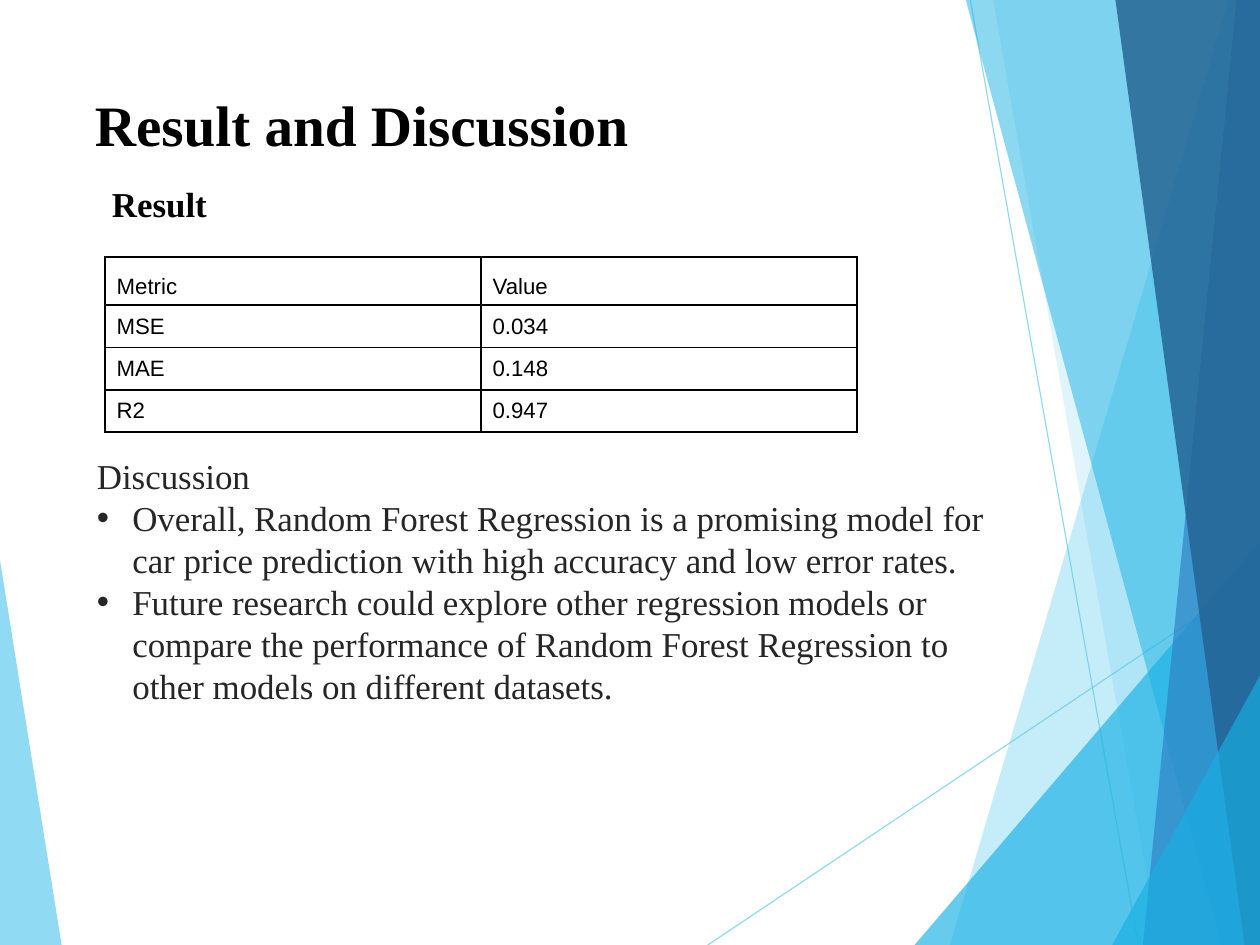
from lxml import etree
from pptx import Presentation
from pptx import util as u
from pptx.dml import color
from pptx.enum import shapes, text
from pptx.oxml import ns

PAGE_SIZE = u.Emu(10080625), u.Emu(7559675)
RIGHT, BOTTOM = 11.03, 8.27
SERIF, SANS = "Times New Roman", "Arial"
BLACK, GRAY = "000000", "262626"
SKY, BLUE, MID, NAVY = "5FCBEF", "17B0E4", "2E83C3", "236292"

HEADING = "Result and Discussion"
SUBHEADING = "Result"
METRICS = [("Metric", "Value"), ("MSE", "0.034"), ("MAE", "0.148"), ("R2", "0.947")]
ROW_HEIGHTS = [0.42, 0.37, 0.37, 0.37]
DISCUSSION = "Discussion"
POINTS = [
    "Overall, Random Forest Regression is a promising model for car price prediction with high accuracy and low error rates.",
    "Future research could explore other regression models or compare the performance of Random Forest Regression to other models on different datasets.",
]

LEFT_FACET = ([(0, 4.9), (0.54, BOTTOM), (0, BOTTOM)], SKY, 69)
RAYS = [((6.19, BOTTOM), (RIGHT, 5.03)), ((8.49, 0), (9.96, BOTTOM))]
RIGHT_FACETS = [
    (10.75, 0, 8.31, SKY, 36),
    (8.69, 0, 10.14, SKY, 20),
    (RIGHT, 4.73, 8, BLUE, 65),
    (8.45, 0, 10.69, BLUE, 49),
    (10.82, 0, 10, MID, 69),
    (9.76, 0, 10.89, NAVY, 82),
    (RIGHT, 5.9, 9.73, BLUE, 65),
]


def rgb(value):
    return color.RGBColor.from_string(value)


def fade(element, percent):
    for tint in element.iter(ns.qn("a:srgbClr")):
        etree.SubElement(tint, ns.qn("a:alpha"), val=str(percent * 1000))


def write(para, words, size=22, font=SERIF, tint=BLACK, bold=False,
          indent=0, hang=0, before=0, bullet=None):
    span = para.add_run()
    span.text = words
    span.font.size = u.Pt(size)
    span.font.name = font
    span.font.bold = bold
    span.font.color.rgb = rgb(tint)
    para.alignment = text.PP_ALIGN.LEFT
    para.space_before = u.Pt(before)
    props = para._p.get_or_add_pPr()
    props.set("marL", str(u.Inches(indent)))
    props.set("indent", str(u.Inches(hang)))
    if bullet:
        etree.SubElement(props, ns.qn("a:buFont"), typeface=SANS)
        etree.SubElement(props, ns.qn("a:buChar"), char=bullet)
    else:
        etree.SubElement(props, ns.qn("a:buNone"))


def place(box, left, top, width, height):
    box.left, box.top = u.Inches(left), u.Inches(top)
    box.width, box.height = u.Inches(width), u.Inches(height)
    frame = box.text_frame
    frame.word_wrap = True
    frame.auto_size = text.MSO_AUTO_SIZE.NONE
    frame.vertical_anchor = text.MSO_ANCHOR.TOP
    return frame


def add_facet(page, corners, tint, opacity):
    start, *rest = [(u.Inches(x), u.Inches(y)) for x, y in corners]
    builder = page.shapes.build_freeform(*start)
    builder.add_line_segments(rest, close=True)
    facet = builder.convert_to_shape()
    facet.shadow.inherit = False
    facet.fill.solid()
    facet.fill.fore_color.rgb = rgb(tint)
    facet.line.fill.background()
    fade(facet.element.spPr, opacity)


def add_ray(page, start, end):
    ends = [u.Inches(value) for value in start + end]
    ray = page.shapes.add_connector(shapes.MSO_CONNECTOR.STRAIGHT, *ends)
    ray.line.color.rgb = rgb(SKY)
    ray.line.width = u.Pt(0.75)
    fade(ray.element.spPr, 69)
    etree.SubElement(ray.element.spPr, ns.qn("a:effectLst"))


def add_borders(cell):
    props = cell._tc.get_or_add_tcPr()
    for position, side in enumerate(("lnL", "lnR", "lnT", "lnB")):
        border = etree.Element(ns.qn("a:" + side), w=str(u.Pt(1.25)))
        fill = etree.SubElement(border, ns.qn("a:solidFill"))
        etree.SubElement(fill, ns.qn("a:srgbClr"), val=BLACK)
        props.insert(position, border)


def add_metrics(page):
    frame = page.shapes.add_table(len(METRICS), 2, u.Inches(0.92), u.Inches(2.25),
                                  u.Inches(6.58), u.Inches(sum(ROW_HEIGHTS)))
    table = frame.table
    table.first_row = table.horz_banding = False
    for column in table.columns:
        column.width = u.Inches(3.29)
    for r, (values, height) in enumerate(zip(METRICS, ROW_HEIGHTS)):
        table.rows[r].height = u.Inches(height)
        for c, value in enumerate(values):
            cell = table.cell(r, c)
            cell.fill.background()
            cell.vertical_anchor = text.MSO_ANCHOR.MIDDLE if r else text.MSO_ANCHOR.BOTTOM
            write(cell.text_frame.paragraphs[0], value, size=14, font=SANS)
            add_borders(cell)


def main():
    deck = Presentation()
    deck.slide_width, deck.slide_height = PAGE_SIZE
    page = deck.slides.add_slide(deck.slide_layouts[1])

    add_facet(page, *LEFT_FACET)
    for start, end in RAYS:
        add_ray(page, start, end)
    for top_x, top_y, bottom_x, tint, opacity in RIGHT_FACETS:
        corners = [(top_x, top_y), (bottom_x, BOTTOM), (RIGHT, BOTTOM), (RIGHT, top_y)]
        if top_x == RIGHT:
            corners.pop()
        add_facet(page, corners, tint, opacity)

    title, body = page.shapes.title, page.placeholders[1]
    for holder in (title, body):
        page.shapes.element.append(holder.element)
    frame = place(title, 0.73, 0.73, 7.65, 1.59)
    write(frame.paragraphs[0], HEADING, size=36, bold=True)
    frame = place(body, 0.73, 1.55, 7.65, 5.73)
    write(frame.paragraphs[0], SUBHEADING, bold=True, indent=0.15, before=11)

    add_metrics(page)

    frame = place(page.shapes.add_textbox(0, 0, 0, 0), 0.75, 3.93, 8.06, 2.79)
    write(frame.paragraphs[0], DISCUSSION, tint=GRAY)
    for point in POINTS:
        write(frame.add_paragraph(), point, tint=GRAY, indent=0.31, hang=-0.31, bullet="•")

    deck.save("out.pptx")


if __name__ == "__main__":
    main()
